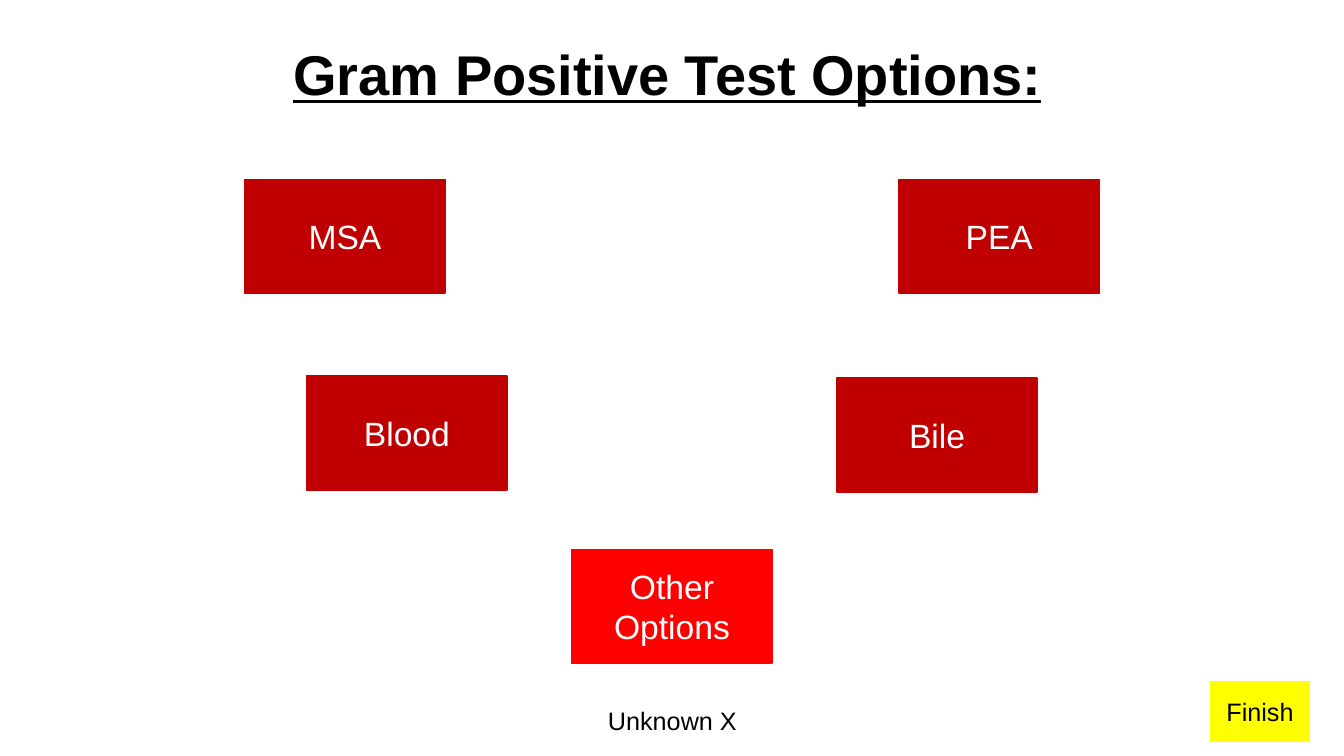
from pptx import Presentation
from pptx.dml.color import RGBColor
from pptx.enum.shapes import MSO_SHAPE
from pptx.enum.text import MSO_ANCHOR, MSO_AUTO_SIZE, PP_ALIGN
from pptx.util import Cm, Pt

RECTANGLE = MSO_SHAPE.RECTANGLE
MIDDLE = MSO_ANCHOR.MIDDLE
TOP = MSO_ANCHOR.TOP
GROW = MSO_AUTO_SIZE.SHAPE_TO_FIT_TEXT
CENTER = PP_ALIGN.CENTER
LEFT = PP_ALIGN.LEFT
TITLE_ONLY = 5

BLACK, WHITE = "000000", "FFFFFF"
DARK_RED, RED, YELLOW = "C00000", "FF0000", "FFFF00"
OPTION_SIZE = (5.05, 2.87)


def color(hex_code):
    return RGBColor.from_string(hex_code)


def assign(target, values):
    for attribute, value in values.items():
        setattr(target, attribute, value)


class TestMenu:
    """Holds the text style and the slide on which the menu is drawn."""

    def __init__(self, slide, font_name="Arial"):
        self.slide = slide
        self.font_name = font_name

    def set_text(self, shape, text, size, ink, frame_format, align=CENTER, **font_format):
        frame = shape.text_frame
        frame.text = text
        assign(frame, frame_format)
        paragraph = frame.paragraphs[0]
        assign(paragraph, {"alignment": align, "line_spacing": 1.0})
        font = paragraph.runs[0].font
        assign(font, {"name": self.font_name, "size": Pt(size), **font_format})
        font.color.rgb = color(ink)

    def title(self, text, box):
        heading = self.slide.shapes.title
        assign(heading, dict(zip(("left", "top", "width", "height"), map(Cm, box))))
        frame_format = {"word_wrap": False, "auto_size": GROW, "vertical_anchor": TOP}
        self.set_text(heading, text, 40, BLACK, frame_format, LEFT, bold=True, underline=True)

    def button(self, text, box, fill, size=24, ink=WHITE):
        button = self.slide.shapes.add_shape(RECTANGLE, *map(Cm, box))
        button.shadow.inherit = False
        button.fill.solid()
        button.fill.fore_color.rgb = color(fill)
        button.line.color.rgb = color(fill)
        button.line.width = Pt(1)
        self.set_text(button, text, size, ink, {"word_wrap": True, "vertical_anchor": MIDDLE})

    def label(self, text, box):
        label = self.slide.shapes.add_textbox(*map(Cm, box))
        self.set_text(label, text, 18, BLACK, {"word_wrap": True, "vertical_anchor": MIDDLE})


def main():
    presentation = Presentation()
    assign(presentation, {"slide_width": Cm(33.87), "slide_height": Cm(19.05)})
    layout = presentation.slide_layouts[TITLE_ONLY]
    menu = TestMenu(presentation.slides.add_slide(layout))

    menu.title("Gram Positive Test Options:", (7.14, 0.86, 19.58, 1.96))
    menu.label("Unknown X", (11.23, 17.65, 11.43, 1.02))
    options = [
        ("MSA", 6.17, 4.52, DARK_RED),
        ("PEA", 22.66, 4.52, DARK_RED),
        ("Blood", 7.73, 9.48, DARK_RED),
        ("Bile", 21.09, 9.53, DARK_RED),
        ("Other Options", 14.41, 13.84, RED),
    ]
    for test, left, top, fill in options:
        menu.button(test, (left, top, *OPTION_SIZE), fill)
    menu.button("Finish", (30.51, 17.17, 2.49, 1.5), YELLOW, 18, BLACK)

    presentation.save("out.pptx")


if __name__ == "__main__":
    main()
